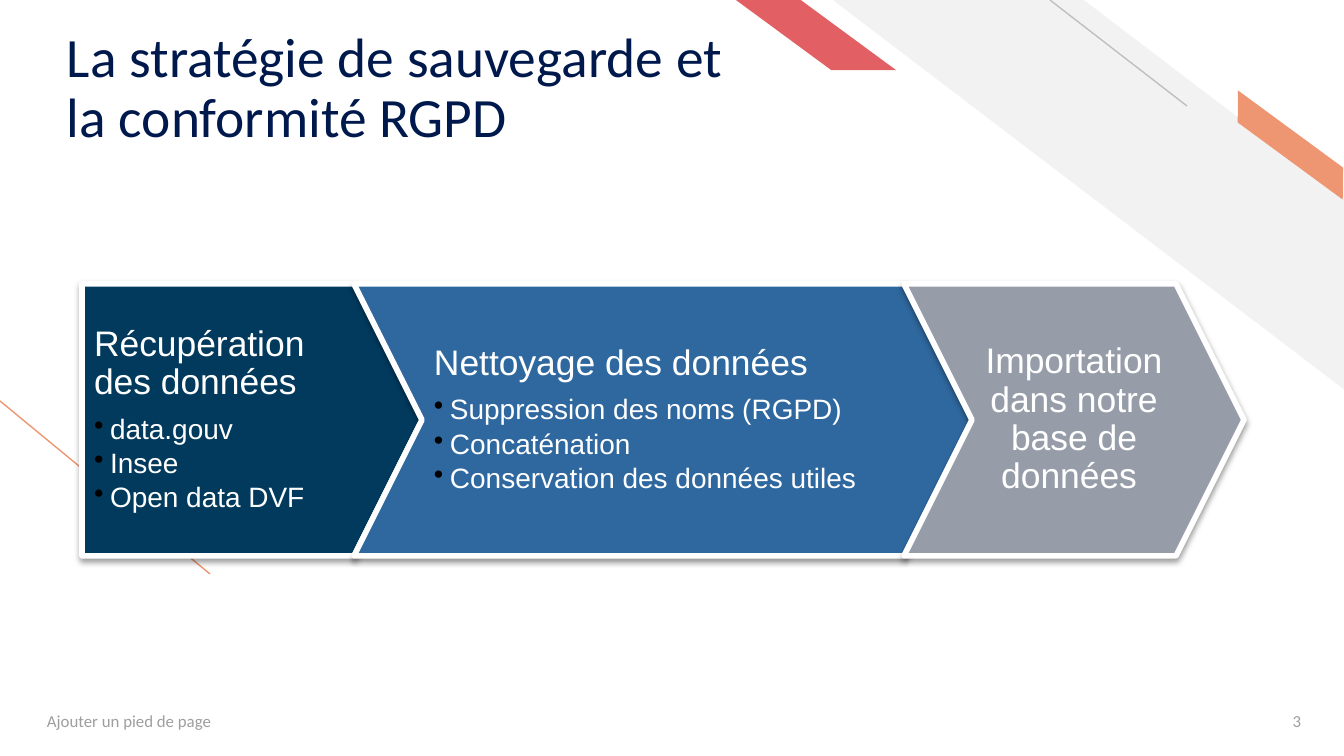
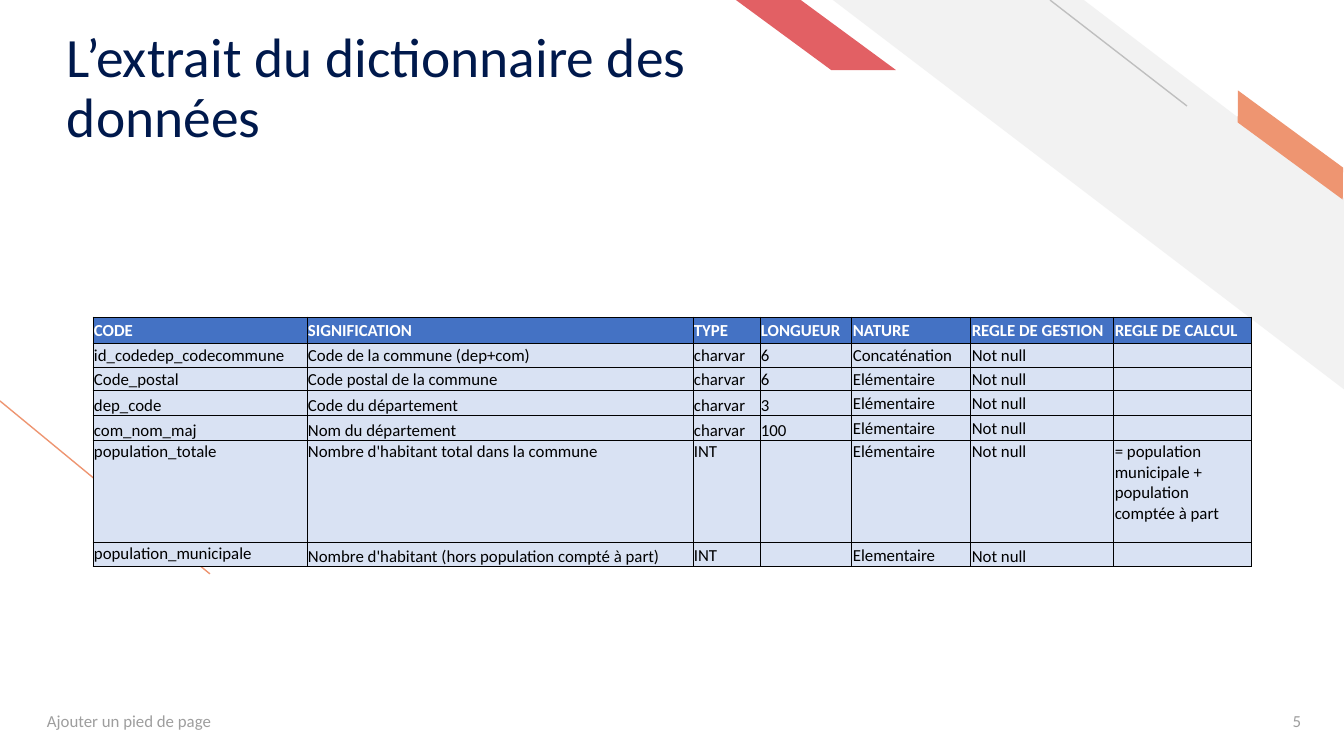
"""Build two slides on a data backup strategy and its data dictionary."""
import dataclasses

import lxml.etree
import pptx
import pptx.dml.color
import pptx.enum.shapes
import pptx.enum.text
import pptx.oxml.ns
import pptx.util

SCALE = 914400 / 134.4
SHAPE = pptx.enum.shapes.MSO_SHAPE
ALIGN = pptx.enum.text.PP_ALIGN
ANCHORS = {
    "t": pptx.enum.text.MSO_ANCHOR.TOP,
    "m": pptx.enum.text.MSO_ANCHOR.MIDDLE,
    "b": pptx.enum.text.MSO_ANCHOR.BOTTOM,
}


@dataclasses.dataclass(frozen=True)
class Theme:
    navy: str = "00194C"
    red: str = "E26064"
    orange: str = "EE9571"
    pale: str = "F2F2F2"
    silver: str = "BFBFBF"
    footer: str = "9E9E9E"
    white: str = "FFFFFF"
    black: str = "000000"
    header_fill: str = "4472C4"
    body_fill: str = "D9E2F3"
    step_fills: tuple = ("013A5D", "2F689F", "969DA9")
    title_size: float = 29.7
    step_size: float = 19
    bullet_size: float = 15
    small_size: float = 9
    title_font: str = "Calibri"
    step_font: str = "Arial"


THEME = Theme()

STEPS = [
    (340, "Récupération des données", ["data.gouv", "Insee", "Open data DVF"]),
    (618, "Nettoyage des données",
     ["Suppression des noms (RGPD)", "Concaténation", "Conservation des données utiles"]),
    (340, "Importation dans notre base de données ", []),
]

COLUMN_WIDTHS = [214, 386, 67, 92, 119, 143, 138]
DICTIONARY = [
    (26, "mmmmmmm", ["CODE", "SIGNIFICATION", "TYPE", "LONGUEUR", "NATURE",
                     "REGLE DE GESTION", "REGLE DE CALCUL"]),
    (24, "mmmmmmm", ["id_codedep_codecommune", "Code de la commune (dep+com)",
                     "charvar", "6", "Concaténation", "Not null", ""]),
    (24, "mmmmmmm", ["Code_postal", "Code postal de la commune",
                     "charvar", "6", "Elémentaire", "Not null", ""]),
    (25, "bbbbmmm", ["dep_code", "Code du département",
                     "charvar", "3", "Elémentaire", "Not null", ""]),
    (25, "bbbbmmm", ["com_nom_maj", "Nom du département",
                     "charvar", "100", "Elémentaire", "Not null", ""]),
    (102, "ttttttt", ["population_totale", "Nombre d'habitant total dans la commune",
                      "INT", "", "Elémentaire", "Not null",
                      "= population municipale + population comptée à part"]),
    (24, "tbmtmbt", ["population_municipale",
                     "Nombre d'habitant (hors population compté à part)",
                     "INT", "", "Elementaire", "Not null", ""]),
]


def px(length):
    return pptx.util.Emu(round(length * SCALE))


def rgb(value):
    return pptx.dml.color.RGBColor.from_string(value)


def add_xml(parent, tag, **attributes):
    child = lxml.etree.SubElement(parent, pptx.oxml.ns.qn(tag))
    for name, value in attributes.items():
        child.set(name, str(value))
    return child


def add_color(parent, color):
    return add_xml(add_xml(parent, "a:solidFill"), "a:srgbClr", val=color)


def add_text(frame, text, *, size, color, font=THEME.title_font, bold=False,
             align=ALIGN.LEFT, spacing=1.0, after=0, bullet=False):
    first = frame.paragraphs[0]
    para = frame.add_paragraph() if first.runs else first
    para.alignment = align
    para.line_spacing = spacing
    para.space_after = pptx.util.Pt(after)
    if bullet:
        para.level = 1
        properties = para._p.get_or_add_pPr()
        properties.set("marL", str(px(16)))
        properties.set("indent", str(-px(16)))
        add_xml(add_xml(properties, "a:buClr"), "a:srgbClr", val=THEME.black)
        add_xml(properties, "a:buChar", char="•")
    if not text:
        add_xml(para._p, "a:endParaRPr", sz=round(size * 100))
        return
    span = para.add_run()
    span.text = text
    span.font.size = pptx.util.Pt(size)
    span.font.name = font
    span.font.bold = bold
    span.font.color.rgb = rgb(color)


def add_box(page, left, top, width, height, *, anchor="m", insets=(9, 5, 9, 5)):
    frame = page.shapes.add_textbox(px(left), px(top), px(width), px(height)).text_frame
    frame.word_wrap = True
    frame.vertical_anchor = ANCHORS[anchor]
    (frame.margin_left, frame.margin_top,
     frame.margin_right, frame.margin_bottom) = map(px, insets)
    return frame


def add_shape(page, kind, left, top, width, height, fill, adjust, *, flip=False, rotation=0):
    shape = page.shapes.add_shape(kind, px(left), px(top), px(width), px(height))
    shape.shadow.inherit = False
    shape.adjustments[0] = adjust
    shape.rotation = rotation
    shape.fill.solid()
    shape.fill.fore_color.rgb = rgb(fill)
    shape.line.fill.background()
    if flip:
        shape._element.spPr.get_or_add_xfrm().set("flipH", "1")
    return shape


def add_line(page, start_x, start_y, end_x, end_y, color):
    line = page.shapes.add_connector(pptx.enum.shapes.MSO_CONNECTOR.STRAIGHT,
                                     px(start_x), px(start_y), px(end_x), px(end_y))
    line.line.color.rgb = rgb(color)
    line.line.width = pptx.util.Pt(0.75)
    add_xml(line._element.spPr, "a:effectLst")


def add_page(deck, title, number):
    page = deck.slides.add_slide(deck.slide_layouts[6])
    add_line(page, 210, 574, 0, 401, THEME.orange)
    add_shape(page, SHAPE.DIAGONAL_STRIPE, 833, 0, 512, 390, THEME.pale, 0.51, flip=True)
    add_line(page, 1187, 106, 1050, 0, THEME.silver)
    add_shape(page, SHAPE.PARALLELOGRAM, 1216, 132, 149, 26, THEME.orange, 0.72,
              flip=True, rotation=36.3)
    add_shape(page, SHAPE.PARALLELOGRAM, 736, 0, 160, 70, THEME.red, 1.36, flip=True)
    add_text(add_box(page, 58, 23, 690, 126, anchor="b", insets=(9, 5, 9, 0)), title,
             size=THEME.title_size, color=THEME.navy, spacing=0.9)
    add_text(add_box(page, 38, 701, 454, 40), "Ajouter un pied de page",
             size=THEME.small_size, color=THEME.footer)
    add_text(add_box(page, 1228, 701, 82, 40), str(number),
             size=THEME.small_size, color=THEME.footer, align=ALIGN.RIGHT)
    return page


def add_step_shadow(shape):
    effects = shape._element.spPr.find(pptx.oxml.ns.qn("a:effectLst"))
    shadow = add_xml(effects, "a:outerShdw", blurRad=pptx.util.Pt(3.1),
                     dist=pptx.util.Pt(1.6), dir=5400000, rotWithShape=0)
    add_xml(add_xml(shadow, "a:srgbClr", val=THEME.black), "a:alpha", val=38000)


def add_process(page, left, top, height):
    point = height // 4
    for index, (width, heading, bullets) in enumerate(STEPS):
        kind = SHAPE.CHEVRON if index else SHAPE.PENTAGON
        step = add_shape(page, kind, left, top, width, height, THEME.step_fills[index], 0.25)
        step.line.color.rgb = rgb(THEME.white)
        step.line.width = pptx.util.Pt(3)
        add_step_shadow(step)
        if index:
            frame = add_box(page, left + point, top, width - 2 * point, height,
                            insets=(12, 6, 12, 6))
        else:
            frame = add_box(page, left, top, width - point // 2, height,
                            insets=(12, 6, 48, 6))
        add_text(frame, heading, size=THEME.step_size, color=THEME.white,
                 font=THEME.step_font, spacing=0.9, after=THEME.step_size * 0.35,
                 align=ALIGN.LEFT if bullets else ALIGN.CENTER)
        for bullet in bullets:
            add_text(frame, bullet, size=THEME.bullet_size, color=THEME.white,
                     font=THEME.step_font, spacing=0.9,
                     after=THEME.bullet_size * 0.15, bullet=True)
        left += width - point


def format_cell(cell, text, anchor, header):
    cell.margin_left = cell.margin_top = cell.margin_right = px(1)
    cell.margin_bottom = 0
    cell.vertical_anchor = ANCHORS[anchor]
    properties = cell._tc.get_or_add_tcPr()
    for side in ("a:lnL", "a:lnR", "a:lnT", "a:lnB"):
        add_color(add_xml(properties, side, w=pptx.util.Pt(0.5)), THEME.black)
    cell.fill.solid()
    cell.fill.fore_color.rgb = rgb(THEME.header_fill if header else THEME.body_fill)
    add_text(cell.text_frame, text, size=THEME.small_size, bold=header,
             color=THEME.white if header else THEME.black)


def add_dictionary(page, left, top):
    heights = [height for height, _, _ in DICTIONARY]
    table = page.shapes.add_table(len(DICTIONARY), len(COLUMN_WIDTHS), px(left), px(top),
                                  px(sum(COLUMN_WIDTHS)), px(sum(heights))).table
    table.horz_banding = False
    for column, width in zip(table.columns, COLUMN_WIDTHS):
        column.width = px(width)
    for index, (height, anchors, texts) in enumerate(DICTIONARY):
        row = table.rows[index]
        row.height = px(height)
        for cell, text, anchor in zip(row.cells, texts, anchors):
            format_cell(cell, text, anchor, index == 0)


def main():
    deck = pptx.Presentation()
    deck.slide_width, deck.slide_height = px(1344), px(756)
    strategy = add_page(deck, "La stratégie de sauvegarde et la conformité RGPD", 3)
    add_process(strategy, 82, 284, 272)
    dictionary = add_page(deck, "L’extrait du dictionnaire des données", 5)
    add_dictionary(dictionary, 93, 317)
    deck.save("out.pptx")


if __name__ == "__main__":
    main()
